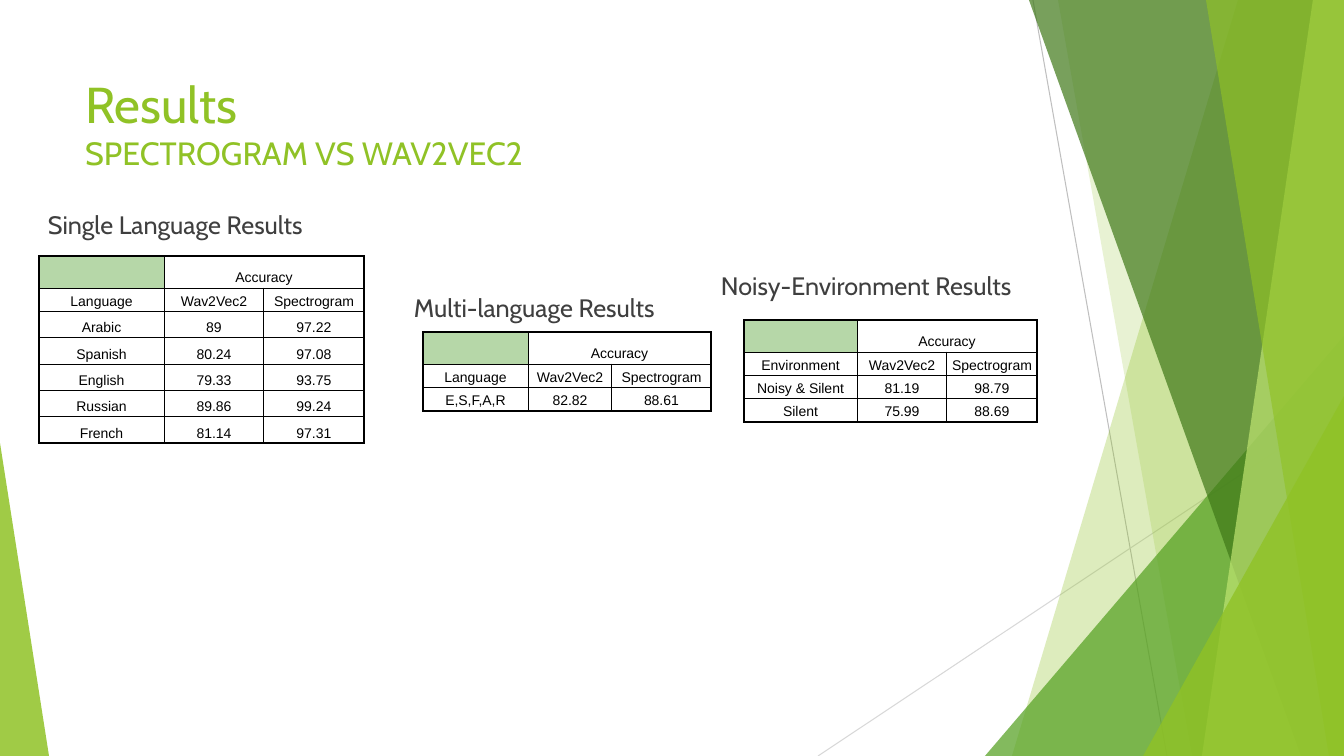
from lxml import etree
from pptx import Presentation
from pptx.dml.color import RGBColor
from pptx.enum.shapes import MSO_CONNECTOR, MSO_SHAPE
from pptx.enum.text import MSO_ANCHOR, MSO_AUTO_SIZE, PP_ALIGN
from pptx.oxml.ns import qn
from pptx.util import Pt

STRAIGHT = MSO_CONNECTOR.STRAIGHT
TRIANGLE = MSO_SHAPE.ISOSCELES_TRIANGLE
TOP, BOTTOM = MSO_ANCHOR.TOP, MSO_ANCHOR.BOTTOM
LEFT, CENTER = PP_ALIGN.LEFT, PP_ALIGN.CENTER
NO_FIT = MSO_AUTO_SIZE.NONE

WIDE, HIGH = 1344, 756
SCALE = 12192000 / WIDE

LIME = RGBColor(0x90, 0xC2, 0x26)
GREEN = RGBColor(0x54, 0xA0, 0x21)
DARK = RGBColor(0x3F, 0x78, 0x18)
PALE = RGBColor(0xBF, 0xE4, 0x71)
MINT = RGBColor(0xB6, 0xD7, 0xA8)
GRAY = RGBColor(0x3F, 0x3F, 0x3F)
SILVER = RGBColor(0xBF, 0xBF, 0xBF)
LIGHT = RGBColor(0xD8, 0xD8, 0xD8)
BLACK = RGBColor(0, 0, 0)


def px(n):
    return round(n * SCALE)


def write(frame, text, size, color, font="Cabin", align=LEFT, anchor=TOP, space=1.0):
    """Fill a text frame, one paragraph for each line; size may be a list."""
    lines = text.split("\n")
    sizes = size if isinstance(size, list) else [size] * len(lines)
    frame.text = text
    frame.word_wrap = True
    frame.vertical_anchor = anchor
    for par, points in zip(frame.paragraphs, sizes):
        par.alignment = align
        par.line_spacing = space
        par.font.size = Pt(points)
        par.font.name = font
        par.font.color.rgb = color


def edge(cell, sides):
    """Draw black borders; sides maps L, R, T and B to widths in points."""
    props = cell._tc.get_or_add_tcPr()
    for spot, side in enumerate("LRTB"):
        line = etree.Element(qn("a:ln" + side), w=str(Pt(sides[side])))
        fill = etree.SubElement(line, qn("a:solidFill"))
        etree.SubElement(fill, qn("a:srgbClr"), val=str(BLACK))
        props.insert(spot, line)


class Page:
    def __init__(self, deck):
        self.slide = deck.slides.add_slide(deck.slide_layouts[5])
        self.shapes = self.slide.shapes

    def paint(self, shape, color, alpha):
        shape.shadow.inherit = False
        shape.fill.solid()
        shape.fill.fore_color.rgb = color
        tint = shape.fill._xPr.find(".//" + qn("a:srgbClr"))
        etree.SubElement(tint, qn("a:alpha"), val=str(alpha * 1000))
        shape.line.fill.background()

    def band(self, top, foot, color, alpha):
        """Fill from a slanted edge to the right side of the slide."""
        form = self.shapes.build_freeform(top, 0, scale=SCALE)
        form.add_line_segments([(WIDE, 0), (WIDE, HIGH), (foot, HIGH)])
        self.paint(form.convert_to_shape(), color, alpha)

    def wedge(self, x, y, width, tip, color, alpha):
        """Stand a right triangle on the bottom edge, tip 0 left or 1 right."""
        shape = self.shapes.add_shape(TRIANGLE, px(x), px(y), px(width), px(HIGH - y))
        shape.adjustments[0] = tip
        self.paint(shape, color, alpha)

    def line(self, x1, y1, x2, y2, color):
        rule = self.shapes.add_connector(STRAIGHT, px(x1), px(y1), px(x2), px(y2))
        rule.line.color.rgb = color
        rule.line.width = Pt(0.75)
        etree.SubElement(rule._element.spPr, qn("a:effectLst"))

    def title(self, text, x, y, width, height):
        head = self.shapes.title
        head.left, head.top = px(x), px(y)
        head.width, head.height = px(width), px(height)
        write(head.text_frame, text, [36, 23], LIME)
        head.text_frame.auto_size = NO_FIT

    def label(self, text, x, y, drop):
        """Add a table heading whose text starts drop px below the box top."""
        box = self.shapes.add_textbox(px(x), px(y), px(326), px(84))
        write(box.text_frame, text, 18, GRAY)
        box.text_frame.margin_top = px(drop)

    def table(self, x, y, height, cols, rows):
        top, head = 32, 22
        body = (height - top - head) / (len(rows) - 2)
        tall = [top, head] + [body] * (len(rows) - 2)
        frame = self.shapes.add_table(len(rows), len(cols), px(x), px(y),
                                      px(sum(cols)), px(height))
        grid = frame.table
        grid.first_row = grid.horz_banding = False
        for col, width in zip(grid.columns, cols):
            col.width = px(width)
        for row, size in zip(grid.rows, tall):
            row.height = px(size)
        for r, row in enumerate(rows):
            for c, text in enumerate(row):
                self.cell(grid.cell(r, c), text, {
                    "L": 1.5 if c == 0 else 0.75,
                    "R": 1.5 if c == len(cols) - 1 or (r == 0 and c > 0) else 0.75,
                    "T": 1.5 if r == 0 else 0.75,
                    "B": 1.5 if r == len(rows) - 1 else 0.75})
        corner = grid.cell(0, 0)
        corner.fill.solid()
        corner.fill.fore_color.rgb = MINT
        grid.cell(0, 1).merge(grid.cell(0, 2))

    def cell(self, cell, text, sides):
        cell.margin_left = cell.margin_right = px(3)
        cell.margin_top = cell.margin_bottom = px(2)
        write(cell.text_frame, text, 10, BLACK, font="Arial", align=CENTER, space=1.15)
        cell.vertical_anchor = BOTTOM
        cell.fill.background()
        edge(cell, sides)


def heads(first):
    return [("", "Accuracy", ""), (first, "Wav2Vec2", "Spectrogram")]


SINGLE = heads("Language") + [
    ("Arabic", "89", "97.22"),
    ("Spanish", "80.24", "97.08"),
    ("English", "79.33", "93.75"),
    ("Russian", "89.86", "99.24"),
    ("French", "81.14", "97.31"),
]
MULTI = heads("Language") + [("E,S,F,A,R", "82.82", "88.61")]
NOISY = heads("Environment") + [
    ("Noisy & Silent", "81.19", "98.79"),
    ("Silent", "75.99", "88.69"),
]


def main():
    deck = Presentation()
    deck.slide_width, deck.slide_height = px(WIDE), px(HIGH)
    page = Page(deck)

    page.line(1033, 0, 1167, HIGH, SILVER)
    page.line(WIDE, 406, 818, HIGH, LIGHT)
    page.band(1238, 1012, LIME, 30)
    page.band(1058, 1192, LIME, 20)
    page.wedge(985, 336, 359, 1, GREEN, 72)
    page.band(1029, 1301, DARK, 70)
    page.band(1313, 1202, PALE, 70)
    page.band(1206, 1329, LIME, 65)
    page.wedge(1143, 396, 201, 1, LIME, 80)
    page.wedge(0, 443, 49, 0, LIME, 85)

    page.title("Results\nSPECTROGRAM VS WAV2VEC2", 75, 68, 948, 145)
    page.label("Single Language Results", 38, 173, 36)
    page.table(39, 256, 186, (125, 100, 100), SINGLE)
    page.table(423, 332, 76, (105, 84, 99), MULTI)
    page.label("Multi-language Results", 404, 256, 36)
    page.table(744, 320, 99, (113, 90, 90), NOISY)
    page.label("Noisy-Environment Results", 711, 265, 5)
    deck.save("out.pptx")


if __name__ == "__main__":
    main()
